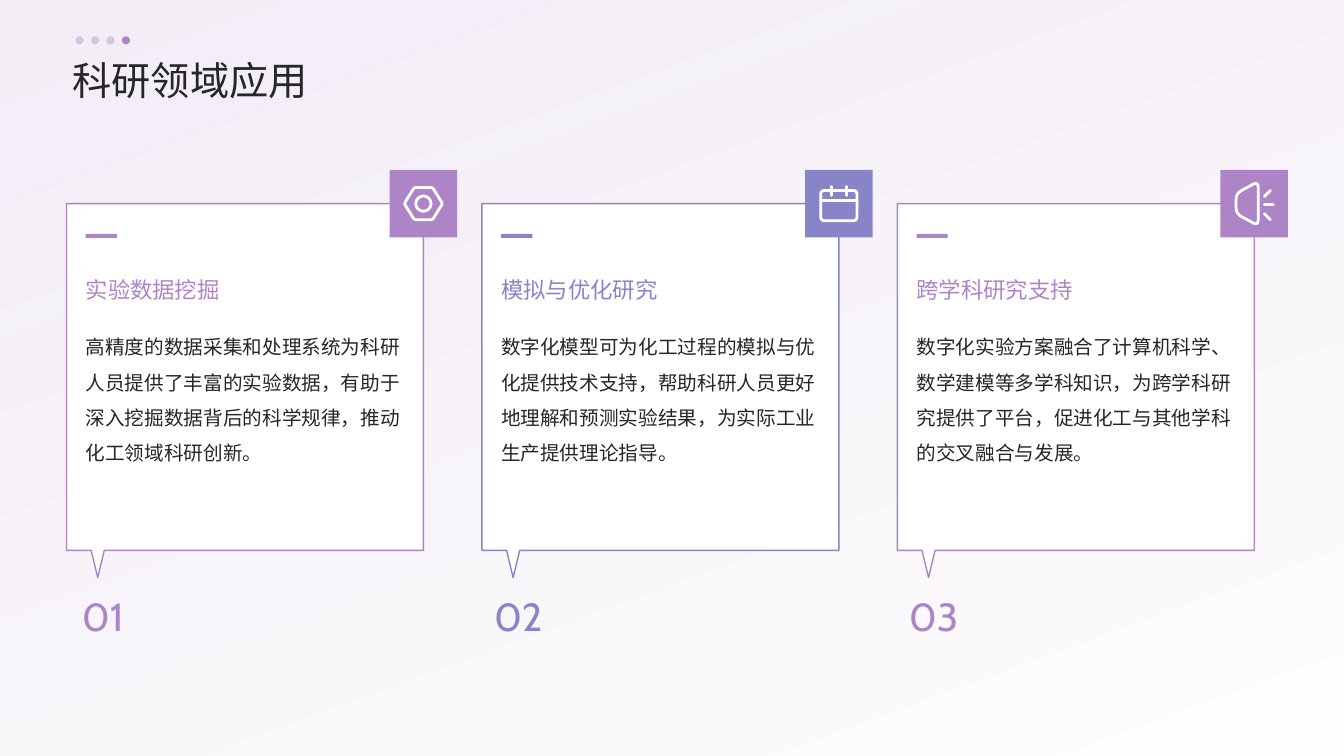
from math import cos, hypot, pi, sin

from lxml import etree
from pptx import Presentation
from pptx.dml.color import RGBColor
from pptx.enum.shapes import MSO_SHAPE
from pptx.enum.text import MSO_ANCHOR, PP_ALIGN
from pptx.oxml.ns import qn
from pptx.util import Inches, Pt

# Content
PURPLE, BLUE, INK, WHITE = "AD84C6", "8784C7", "262626", "FFFFFF"
HAN, LATIN = "Noto Sans CJK SC", "Cabin"
TITLE = "科研领域应用"
CARDS = [
    ("01", "实验数据挖掘", PURPLE, "nut",
     "高精度的数据采集和处理系统为科研人员提供了丰富的实验数据，有助于深入挖掘数据背后的科学规律，推动化工领域科研创新。"),
    ("02", "模拟与优化研究", BLUE, "calendar",
     "数字化模型可为化工过程的模拟与优化提供技术支持，帮助科研人员更好地理解和预测实验结果，为实际工业生产提供理论指导。"),
    ("03", "跨学科研究支持", PURPLE, "horn",
     "数字化实验方案融合了计算机科学、数学建模等多学科知识，为跨学科研究提供了平台，促进化工与其他学科的交叉融合与发展。"),
]

# Icon strokes: points around the badge centre, corner radius, closed or open
RING = [(0.075 * cos(k * pi / 16), 0.075 * sin(k * pi / 16)) for k in range(32)]
ICONS = {
    "nut": [([(-0.19, 0), (-0.09, -0.16), (0.09, -0.16), (0.19, 0),
              (0.09, 0.16), (-0.09, 0.16)], 0.02, True),
            (RING, 0, True)],
    "calendar": [([(-0.18, -0.13), (0.18, -0.13), (0.18, 0.17), (-0.18, 0.17)], 0.04, True),
                 ([(-0.18, -0.03), (0.18, -0.03)], 0, False),
                 ([(-0.07, -0.17), (-0.07, -0.08)], 0, False),
                 ([(0.08, -0.17), (0.08, -0.08)], 0, False)],
    "horn": [([(-0.18, -0.1), (0.04, -0.22), (0.04, 0.22), (-0.18, 0.1)], 0.06, True),
             ([(0.1, -0.07), (0.16, -0.13)], 0, False),
             ([(0.1, 0.01), (0.19, 0.01)], 0, False),
             ([(0.1, 0.1), (0.16, 0.16)], 0, False)],
}

# Grid, in inches
WIDTH, HEIGHT = 13.33, 7.5
LEFT, PITCH, CARD_W = 0.66, 4.12, 3.54
CARD_TOP, CARD_BOTTOM, TAIL_TIP = 2.02, 5.46, 5.73
PAD, BADGE = 0.19, 0.67
TAIL_X, TAIL_HALF = 0.31, 0.065
DOT, DOT_LEFT, DOT_PITCH, DOTS = 0.08, 0.75, 0.153, 4

deck = Presentation()
deck.slide_width, deck.slide_height = Inches(WIDTH), Inches(HEIGHT)
slide = deck.slides.add_slide(deck.slide_layouts[6])


def rgb(hex_color):
    return RGBColor.from_string(hex_color)


def set_alpha(shape, *percents):
    for color, percent in zip(shape._element.spPr.iter(qn("a:srgbClr")), percents):
        etree.SubElement(color, qn("a:alpha"), val=str(percent * 1000))


def add_block(x, y, w, h, color, kind=MSO_SHAPE.RECTANGLE, parent=slide):
    block = parent.shapes.add_shape(kind, Inches(x), Inches(y), Inches(w), Inches(h))
    block.shadow.inherit = False
    block.fill.solid()
    block.fill.fore_color.rgb = rgb(color)
    block.line.fill.background()
    return block


def add_text(x, y, w, h, words, size, color, font, spacing,
             anchor=MSO_ANCHOR.TOP, align=PP_ALIGN.LEFT):
    frame = slide.shapes.add_textbox(Inches(x), Inches(y), Inches(w), Inches(h)).text_frame
    frame.word_wrap = True
    frame.vertical_anchor = anchor
    frame.margin_left = frame.margin_right = frame.margin_top = frame.margin_bottom = 0
    paragraph = frame.paragraphs[0]
    paragraph.alignment, paragraph.line_spacing = align, spacing
    run = paragraph.add_run()
    run.text = words
    run.font.size, run.font.name = Pt(size), font
    run.font.color.rgb = rgb(color)
    etree.SubElement(run._r.get_or_add_rPr(), qn("a:ea"), typeface=font)


def rounded(points, radius):
    """Replace each corner by a short quadratic curve."""
    if not radius:
        return points
    curve = []
    for i, (x, y) in enumerate(points):
        ends = []
        for nx, ny in (points[i - 1], points[(i + 1) % len(points)]):
            share = radius / hypot(nx - x, ny - y)
            ends.append((x + (nx - x) * share, y + (ny - y) * share))
        (ax, ay), (bx, by) = ends
        for t in (0, 0.25, 0.5, 0.75, 1):
            a, m, b = (1 - t) ** 2, 2 * t * (1 - t), t * t
            curve.append((a * ax + m * x + b * bx, a * ay + m * y + b * by))
    return curve


def add_outline(x, y, strokes, color, weight):
    builder = None
    for points, radius, closed in strokes:
        path = [(Inches(x + px), Inches(y + py)) for px, py in rounded(points, radius)]
        if builder is None:
            builder = slide.shapes.build_freeform(*path[0], scale=1.0)
        else:
            builder.move_to(*path[0])
        builder.add_line_segments(path[1:], close=closed)
    outline = builder.convert_to_shape()
    outline.shadow.inherit = False
    outline.line.color.rgb = rgb(color)
    outline.line.width = Pt(weight)
    return outline


# Background
wash = add_block(0, 0, WIDTH, HEIGHT, WHITE)
wash.fill.gradient()
wash.fill.gradient_angle = 290
for stop, color, position in zip(wash.fill.gradient_stops, ("EFE6F4", WHITE), (0, 1)):
    stop.color.rgb, stop.position = rgb(color), position
set_alpha(wash, 67, 92)

# Cards
CARD_H, TIP = CARD_BOTTOM - CARD_TOP, TAIL_TIP - CARD_TOP
BUBBLE = [(0, 0), (CARD_W, 0), (CARD_W, CARD_H), (TAIL_X + TAIL_HALF, CARD_H),
          (TAIL_X, TIP), (TAIL_X - TAIL_HALF, CARD_H), (0, CARD_H)]
for column, (number, heading, accent, icon, body) in enumerate(CARDS):
    left = LEFT + column * PITCH
    inner, inner_w = left + PAD, CARD_W - 2 * PAD - 0.01
    corner = left + CARD_W

    bubble = add_outline(left, CARD_TOP, [(BUBBLE, 0, True)], accent, 1)
    bubble.fill.solid()
    bubble.fill.fore_color.rgb = rgb(WHITE)
    add_text(inner, 3.21, inner_w, 1.99, body, 14, INK, HAN, 1.5)
    add_text(left, 5.74, 0.72, 0.52, number, 28, accent, LATIN, 1.3, align=PP_ALIGN.CENTER)

    # Badge centred on the top right corner
    add_block(corner - BADGE / 2, CARD_TOP - BADGE / 2, BADGE, BADGE, accent)
    symbol = add_outline(corner, CARD_TOP, ICONS[icon], WHITE, 2)
    symbol.fill.background()
    stroke = symbol.line._get_or_add_ln()
    stroke.set("cap", "rnd")
    etree.SubElement(stroke, qn("a:round"))

    add_block(inner, 2.32, 0.31, 0.04, accent)
    add_text(inner, 2.48, inner_w, 0.71, heading, 16, accent, HAN, 1.3, MSO_ANCHOR.MIDDLE)

# Title and dots, the last one solid
add_text(0.72, 0.51, 11.88, 0.51, TITLE, 28, INK, HAN, 1.1, MSO_ANCHOR.MIDDLE)
dots = slide.shapes.add_group_shape()
for k in reversed(range(DOTS)):
    dot = add_block(DOT_LEFT + k * DOT_PITCH, 0.36, DOT, DOT, PURPLE, MSO_SHAPE.OVAL, dots)
    if k < DOTS - 1:
        set_alpha(dot, 40)

deck.save("out.pptx")
